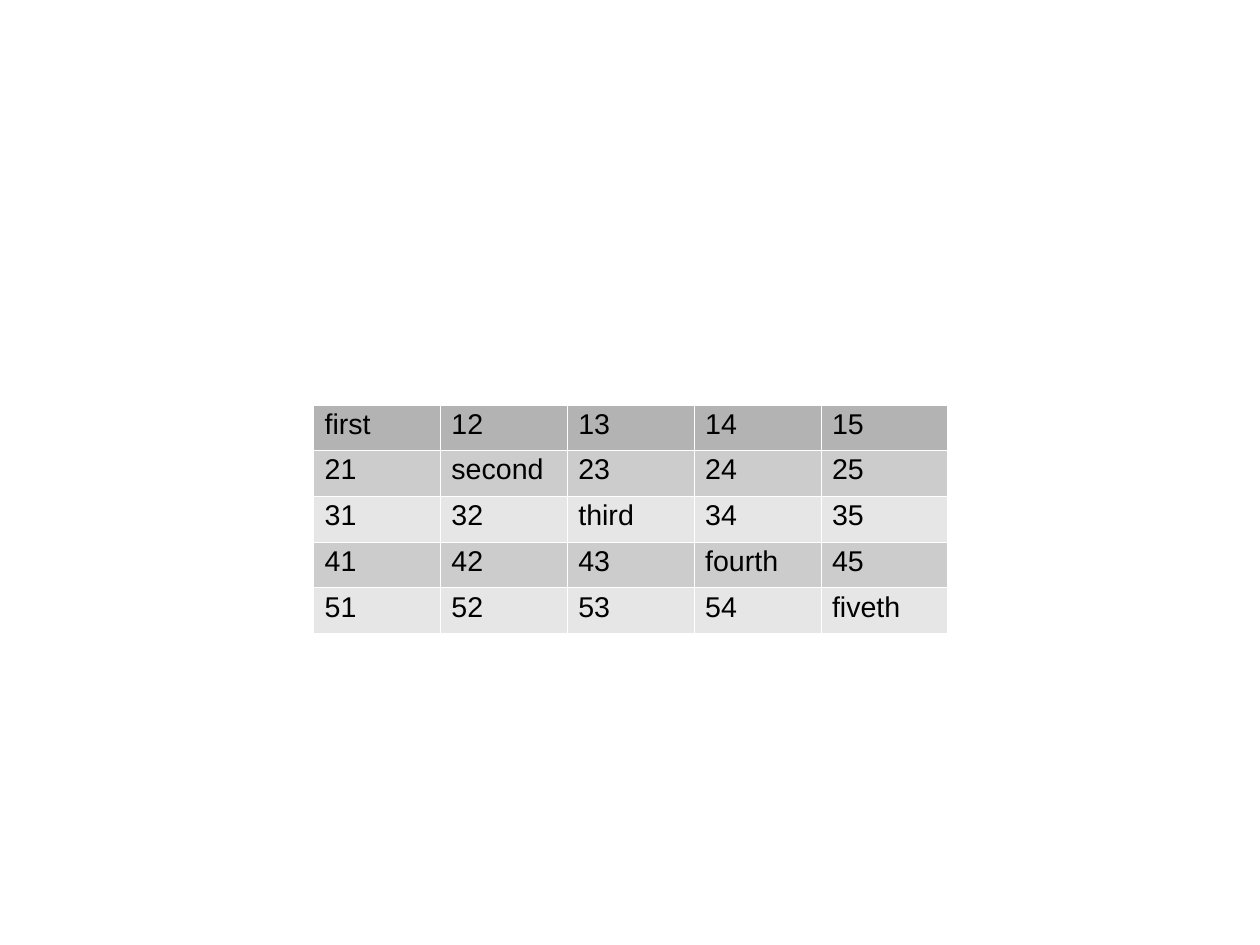
from lxml import etree
from pptx import Presentation
from pptx.dml.color import RGBColor
from pptx.oxml.ns import qn
from pptx.util import Cm, Inches, Pt

COLORS = {
    "header": "B3B3B3",
    "odd_row": "CCCCCC",
    "even_row": "E6E6E6",
    "border": "FFFFFF",
    "text": "000000",
}
ROWS = [
    ["first", "12", "13", "14", "15"],
    ["21", "second", "23", "24", "25"],
    ["31", "32", "third", "34", "35"],
    ["41", "42", "43", "fourth", "45"],
    ["51", "52", "53", "54", "fiveth"],
]
COLUMN_WIDTH = 1.11
ROW_HEIGHT = 0.4
BORDER_WIDTH = Pt(0.06)
CELL_MARGINS = {
    "margin_left": Inches(0.1),
    "margin_right": Inches(0.1),
    "margin_top": Inches(0.05),
    "margin_bottom": Inches(0.05),
}
FONT_FORMAT = {"name": "Arial", "size": Pt(18), "bold": False}


def row_color(row_number):
    """Return the header colour or the alternating body colour."""
    if row_number == 0:
        return COLORS["header"]
    return COLORS["odd_row"] if row_number % 2 else COLORS["even_row"]


def add_cell_borders(cell):
    properties = cell._tc.get_or_add_tcPr()
    for side in ("a:lnL", "a:lnR", "a:lnT", "a:lnB"):
        border = etree.SubElement(properties, qn(side), w=str(BORDER_WIDTH))
        fill = etree.SubElement(border, qn("a:solidFill"))
        etree.SubElement(fill, qn("a:srgbClr"), val=COLORS["border"])


def fill_cell(cell, text, color):
    for attribute, value in CELL_MARGINS.items():
        setattr(cell, attribute, value)

    # Borders come before the fill in the cell properties
    add_cell_borders(cell)
    cell.fill.solid()
    cell.fill.fore_color.rgb = RGBColor.from_string(color)

    cell.text = text
    paragraph = cell.text_frame.paragraphs[0]
    paragraph.line_spacing = 0.93
    font = paragraph.runs[0].font
    for attribute, value in FONT_FORMAT.items():
        setattr(font, attribute, value)
    font.color.rgb = RGBColor.from_string(COLORS["text"])


def add_number_table(slide, left, top):
    row_count, column_count = len(ROWS), len(ROWS[0])
    table = slide.shapes.add_table(
        row_count, column_count, Inches(left), Inches(top),
        Inches(column_count * COLUMN_WIDTH), Inches(row_count * ROW_HEIGHT),
    ).table
    for column in table.columns:
        column.width = Inches(COLUMN_WIDTH)
    for row_number, texts in enumerate(ROWS):
        table.rows[row_number].height = Inches(ROW_HEIGHT)
        for column_number, text in enumerate(texts):
            fill_cell(table.cell(row_number, column_number), text, row_color(row_number))


def main():
    # The page is metric: 28 by 21 cm
    presentation = Presentation()
    presentation.slide_width = Cm(28)
    presentation.slide_height = Cm(21)

    # Blank layout: the slide has no title
    slide = presentation.slides.add_slide(presentation.slide_layouts[6])
    add_number_table(slide, left=2.74, top=3.54)

    presentation.save("out.pptx")


if __name__ == "__main__":
    main()
